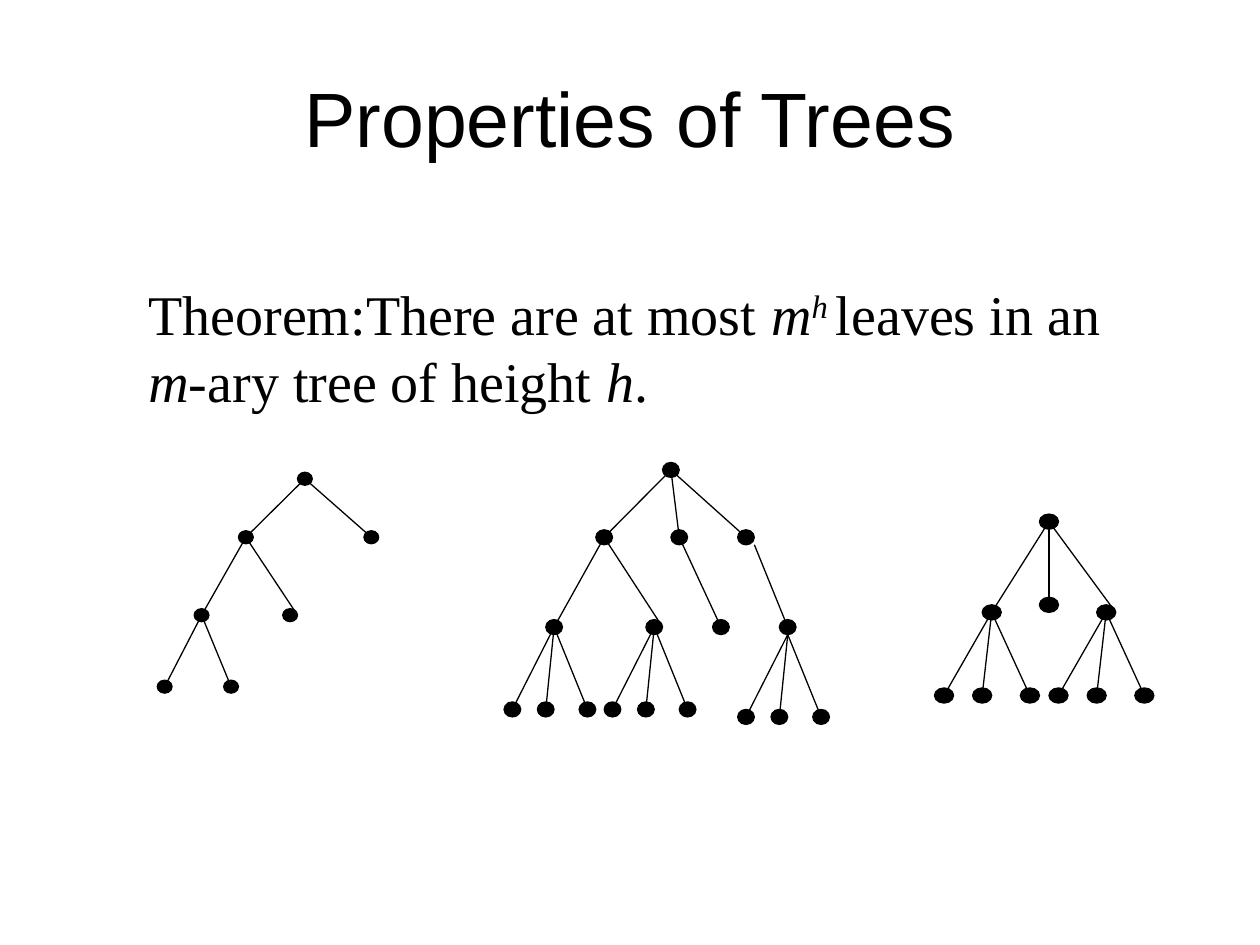
import dataclasses

import lxml.etree
import pptx
import pptx.dml.color
import pptx.enum.shapes
import pptx.enum.text
import pptx.oxml.ns
import pptx.util

COLUMNS, ROWS = 20, 15


def color(value):
    return pptx.dml.color.RGBColor.from_string(value)


@dataclasses.dataclass
class Node:
    """A dot, placed in dot radii from the root; start and end shift the edge from its parent."""
    column: int
    row: int
    children: tuple = ()
    start: tuple = (0, 0)
    end: tuple = (0, 0)

    def walk(self):
        yield self
        for child in self.children:
            yield from child.walk()


def fan(column, row, offsets=(-5, -1, 4), drop=11, leaf_start=(0, 0), **edge):
    """A node with leaves at the given column offsets."""
    leaves = tuple(Node(column + offset, row + drop, start=leaf_start) for offset in offsets)
    return Node(column, row, leaves, **edge)


class SlideBuilder:
    ink = "000000"
    title_font, body_font = "Arial", "Times New Roman"
    title_size, body_size = 44, 32
    line_width = 0.75

    def __init__(self, presentation):
        self.slide = presentation.slides.add_slide(presentation.slide_layouts[5])
        self.column = presentation.slide_width / COLUMNS
        self.row = presentation.slide_height / ROWS

    def box(self, left, top, width, height):
        return (round(left * self.column), round(top * self.row),
                round(width * self.column), round(height * self.row))

    def style_font(self, paragraph, name, size):
        paragraph.font.name = name
        paragraph.font.size = pptx.util.Pt(size)
        paragraph.font.color.rgb = color(self.ink)

    def style_line(self, line):
        line.color.rgb = color(self.ink)
        line.width = pptx.util.Pt(self.line_width)

    def title(self, text, *place):
        shape = self.slide.shapes.title
        shape.left, shape.top, shape.width, shape.height = self.box(*place)
        shape.text_frame.text = text
        shape.text_frame.vertical_anchor = pptx.enum.text.MSO_ANCHOR.MIDDLE
        paragraph = shape.text_frame.paragraphs[0]
        paragraph.alignment = pptx.enum.text.PP_ALIGN.CENTER
        self.style_font(paragraph, self.title_font, self.title_size)

    def text(self, pieces, *place):
        """Each piece is a text and its style: empty, "italic" or "power"."""
        frame = self.slide.shapes.add_textbox(*self.box(*place)).text_frame
        frame.word_wrap = True
        frame.auto_size = pptx.enum.text.MSO_AUTO_SIZE.SHAPE_TO_FIT_TEXT
        paragraph = frame.paragraphs[0]
        self.style_font(paragraph, self.body_font, self.body_size)
        for text, style in pieces:
            run = paragraph.add_run()
            run.text = text
            if style:
                run.font.italic = True
            if style == "power":
                run._r.get_or_add_rPr().set("baseline", "30000")

    def dot(self, group, x, y, radius_x, radius_y):
        shape = group.shapes.add_shape(
            pptx.enum.shapes.MSO_SHAPE.OVAL,
            *self.box(x - radius_x, y - radius_y, 2 * radius_x, 2 * radius_y))
        shape.shadow.inherit = False
        shape.fill.solid()
        shape.fill.fore_color.rgb = color(self.ink)
        self.style_line(shape.line)

    def edge(self, group, start, end):
        connector = group.shapes.add_connector(
            pptx.enum.shapes.MSO_CONNECTOR.STRAIGHT, *self.box(*start, *end))
        self.style_line(connector.line)
        lxml.etree.SubElement(connector._element.spPr, pptx.oxml.ns.qn("a:effectLst"))

    def tree(self, root, left, top, width, height):
        """Place the root's centre at left, top; width and height span the dot centres."""
        nodes = list(root.walk())
        columns = [node.column for node in nodes]
        radius_x = width / (max(columns) - min(columns))
        radius_y = height / max(node.row for node in nodes)

        def point(node, shift=(0, 0)):
            return (left + (node.column + shift[0]) * radius_x,
                    top + (node.row + shift[1]) * radius_y)

        group = self.slide.shapes.add_group_shape()
        for node in nodes:
            self.dot(group, *point(node), radius_x, radius_y)
            for child in node.children:
                self.edge(group, point(node, child.start), point(child, child.end))


def main():
    presentation = pptx.Presentation()
    presentation.slide_width = pptx.util.Inches(10)
    presentation.slide_height = pptx.util.Inches(7.5)
    builder = SlideBuilder(presentation)

    builder.title("Properties of Trees", 1, 0.6, 18, 2.5)
    builder.text([
        ("Theorem:There are at most ", ""), ("m", "italic"), ("h ", "power"),
        ("leaves in an ", ""), ("m", "italic"), ("-ary tree of height ", ""),
        ("h", "italic"), (".", ""),
    ], 2.16, 4.34, 15.66, 2.34)

    binary_tree = Node(0, 0, (
        Node(-8, 9, (fan(-14, 21, offsets=(-5, 4)), Node(-2, 21, end=(1, 0)))),
        Node(9, 9),
    ))
    tall_ternary_tree = Node(0, 0, (
        Node(-8, 9, (fan(-14, 21), fan(-2, 21, end=(1, 0)))),
        Node(1, 9, (Node(6, 21),)),
        Node(9, 9, (fan(14, 21, drop=12, leaf_start=(0, 1), start=(1, 1)),)),
    ))
    short_ternary_tree = Node(0, 0, (
        fan(-6, 12),
        Node(0, 11, start=(0, 1), end=(0, 1)),
        fan(6, 12, end=(1, 0)),
    ))
    builder.tree(binary_tree, 4.84, 7.6, 3.28, 3.3)
    builder.tree(tall_ternary_tree, 10.65, 7.46, 4.9, 3.92)
    builder.tree(short_ternary_tree, 16.65, 8.28, 3.18, 2.76)

    presentation.save("out.pptx")


if __name__ == "__main__":
    main()
